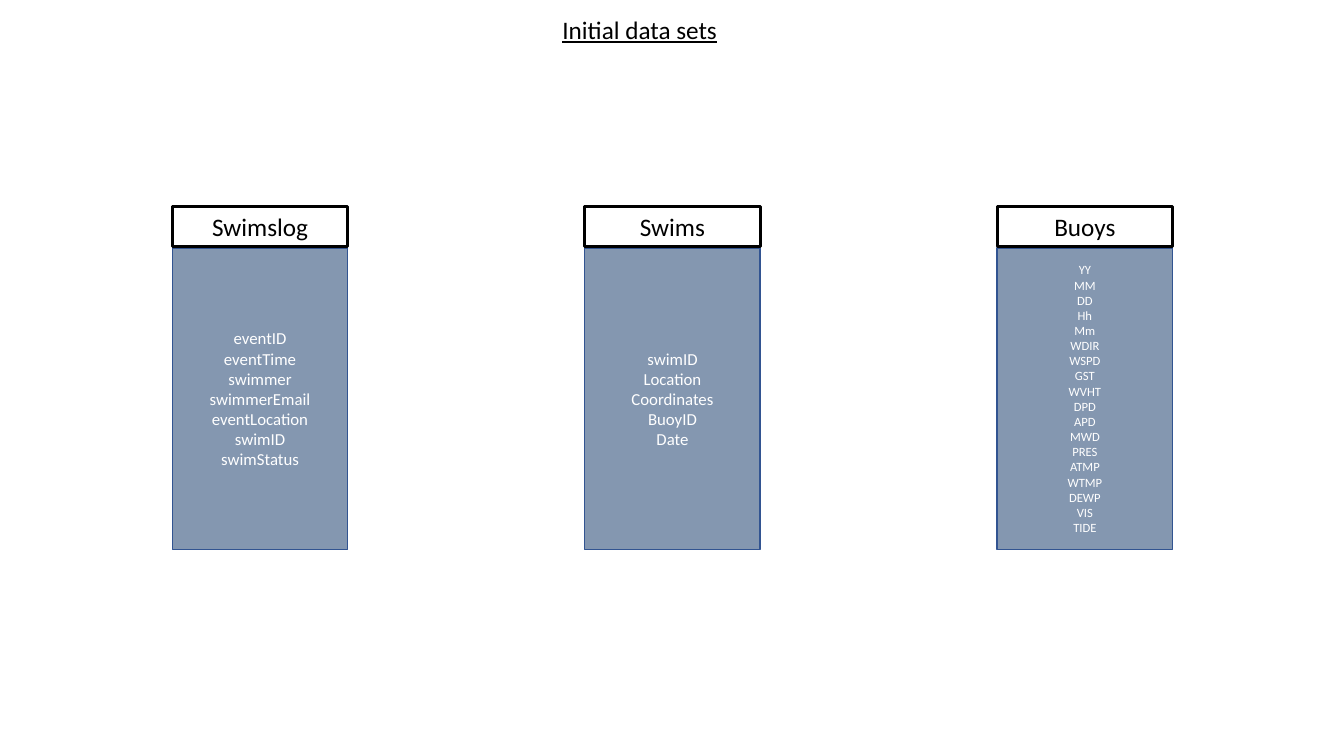
from dataclasses import dataclass

from pptx import Presentation
from pptx.dml.color import RGBColor
from pptx.enum.shapes import MSO_SHAPE
from pptx.enum.text import MSO_ANCHOR, MSO_AUTO_SIZE, PP_ALIGN
from pptx.shapes.autoshape import Shape
from pptx.shapes.group import GroupShape
from pptx.slide import Slide
from pptx.text.text import TextFrame
from pptx.util import Emu, Pt

EMU_PER_PX = 9144  # 100 px to the inch
FONT = "Calibri"
BLACK, WHITE = "000000", "FFFFFF"
FIELDS_FILL, FIELDS_LINE = "8497B0", "325491"
HEADING_SIZE = 18

FIRST_LEFT, PITCH, CARD_WIDTH = 171, 409, 174
NAME_TOP, NAME_HEIGHT = 205, 40
FIELDS_TOP, FIELDS_HEIGHT = 246, 299


@dataclass(frozen=True)
class DataSet:
    name: str
    fields: list[str]
    field_size: int = 12


DATA_SETS = [
    DataSet("Swimslog", ["eventID", "eventTime", "swimmer", "swimmerEmail",
                         "eventLocation", "swimID", "swimStatus"]),
    DataSet("Swims", ["swimID", "Location", "Coordinates", "BuoyID", "Date"]),
    DataSet("Buoys", ["YY", "MM", "DD", "Hh", "Mm", "WDIR", "WSPD", "GST", "WVHT",
                      "DPD", "APD", "MWD", "PRES", "ATMP", "WTMP", "DEWP", "VIS",
                      "TIDE"], 9),
]


def px(length: int) -> Emu:
    return Emu(length * EMU_PER_PX)


def color(hex_value: str) -> RGBColor:
    return RGBColor.from_string(hex_value)


def write_lines(frame: TextFrame, lines: list[str], size: int, ink: str,
                align: PP_ALIGN, underline: bool | None = None) -> None:
    for index, line in enumerate(lines):
        paragraph = frame.add_paragraph() if index else frame.paragraphs[0]
        paragraph.alignment = align
        run = paragraph.add_run()
        run.text = line
        run.font.name = FONT
        run.font.size = Pt(size)
        run.font.color.rgb = color(ink)
        run.font.underline = underline


def add_box(card: GroupShape, left: int, top: int, height: int,
            line: str, line_width: int) -> Shape:
    box = card.shapes.add_shape(MSO_SHAPE.RECTANGLE, px(left), px(top),
                                px(CARD_WIDTH), px(height))
    box.shadow.inherit = False
    box.line.color.rgb = color(line)
    box.line.width = Pt(line_width)
    box.text_frame.word_wrap = True
    return box


def add_data_set(slide: Slide, data_set: DataSet, left: int) -> None:
    card = slide.shapes.add_group_shape()

    fields = add_box(card, left, FIELDS_TOP, FIELDS_HEIGHT, FIELDS_LINE, 1)
    fields.fill.solid()
    fields.fill.fore_color.rgb = color(FIELDS_FILL)
    fields.text_frame.vertical_anchor = MSO_ANCHOR.MIDDLE
    write_lines(fields.text_frame, data_set.fields, data_set.field_size, WHITE,
                PP_ALIGN.CENTER)

    name = add_box(card, left, NAME_TOP, NAME_HEIGHT, BLACK, 2)
    name.fill.background()
    name.text_frame.vertical_anchor = MSO_ANCHOR.TOP
    name.text_frame.auto_size = MSO_AUTO_SIZE.SHAPE_TO_FIT_TEXT
    write_lines(name.text_frame, [data_set.name], HEADING_SIZE, BLACK, PP_ALIGN.CENTER)


def add_title(slide: Slide, text: str) -> None:
    frame = slide.shapes.add_textbox(px(548), px(9), px(175), px(40)).text_frame
    frame.word_wrap = False
    frame.auto_size = MSO_AUTO_SIZE.SHAPE_TO_FIT_TEXT
    write_lines(frame, [text], HEADING_SIZE, BLACK, PP_ALIGN.LEFT, underline=True)


def main() -> None:
    presentation = Presentation()
    presentation.slide_width, presentation.slide_height = px(1333), px(750)
    slide = presentation.slides.add_slide(presentation.slide_layouts[6])
    add_title(slide, "Initial data sets")
    for index, data_set in enumerate(DATA_SETS):
        add_data_set(slide, data_set, FIRST_LEFT + index * PITCH)
    presentation.save("out.pptx")


if __name__ == "__main__":
    main()
